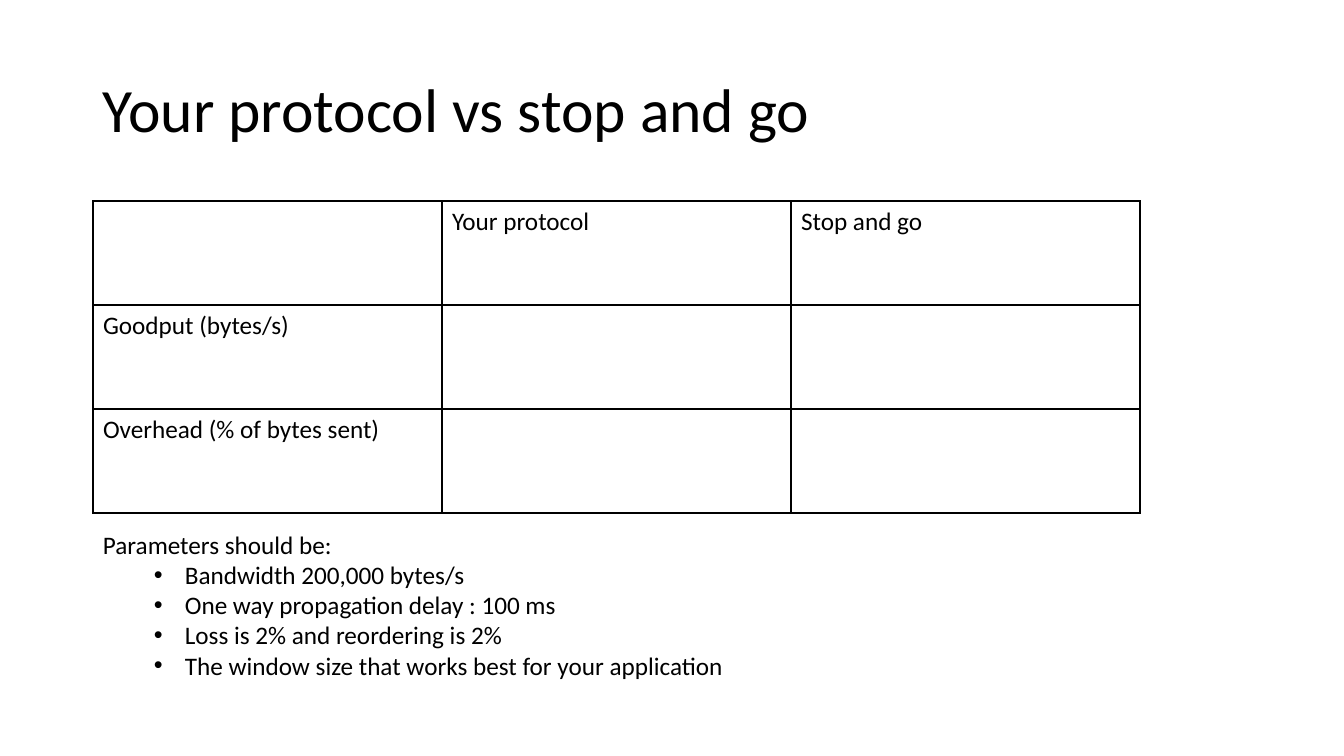
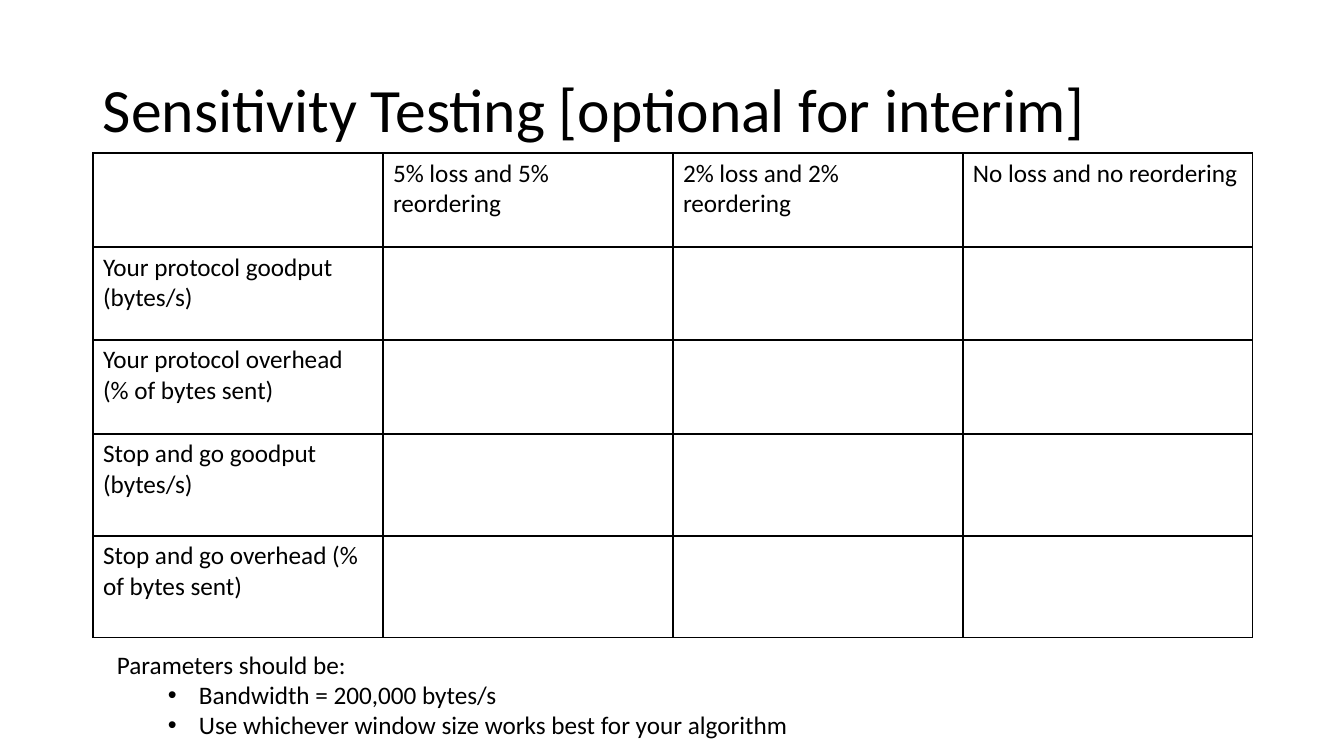
from lxml import etree
from pptx import Presentation
from pptx import util as u
from pptx.dml.color import RGBColor
from pptx.enum import text
from pptx.oxml import ns

SLIDE_WIDTH, SLIDE_HEIGHT = 1344, 756
EMU_PER_PX = 12192000 / SLIDE_WIDTH
COLORS = {"ink": "000000", "paper": "FFFFFF"}
LEFT = 93


def px(length):
    return u.Emu(round(length * EMU_PER_PX))


def add_xml(parent, tag, **attributes):
    return etree.SubElement(parent, ns.qn(tag), attributes)


class Deck:
    font_name = "Calibri"
    title_size, body_size = 44, 18
    bullet_margin, bullet_indent = 82, -31

    def __init__(self):
        self.presentation = Presentation()
        self.presentation.slide_width = px(SLIDE_WIDTH)
        self.presentation.slide_height = px(SLIDE_HEIGHT)
        self.slide = None

    def new_slide(self, title):
        layout = self.presentation.slide_layouts[6]
        self.slide = self.presentation.slides.add_slide(layout)
        background = self.slide.background.fill
        background.solid()
        background.fore_color.rgb = RGBColor.from_string(COLORS["paper"])
        frame = self.text_frame(LEFT, 40, 1159, 146)
        frame.vertical_anchor = text.MSO_ANCHOR.MIDDLE
        paragraph = frame.paragraphs[0]
        paragraph.line_spacing = 0.9
        self.add_text(paragraph, title, self.title_size)

    def text_frame(self, left, top, width, height):
        shape = self.slide.shapes.add_textbox(px(left), px(top), px(width), px(height))
        shape.text_frame.word_wrap = True
        return shape.text_frame

    def add_text(self, paragraph, words, size=body_size):
        run = paragraph.add_run()
        run.text = words
        run.font.name = self.font_name
        run.font.size = u.Pt(size)
        run.font.color.rgb = RGBColor.from_string(COLORS["ink"])

    def bulleted_list(self, left, top, width, height, heading, items):
        frame = self.text_frame(left, top, width, height)
        self.add_text(frame.paragraphs[0], heading)
        for item in items:
            paragraph = frame.add_paragraph()
            paragraph.level = 1
            self.add_text(paragraph, item)
            properties = paragraph._p.get_or_add_pPr()
            properties.set("marL", str(px(self.bullet_margin)))
            properties.set("indent", str(px(self.bullet_indent)))
            add_xml(properties, "a:buFont", typeface="Arial")
            add_xml(properties, "a:buChar", char="•")

    def blank_table(self, top, column_width, row_heights, column_names, row_names):
        """Add a ruled table with headings and empty cells to fill in."""
        columns, rows = len(column_names) + 1, len(row_names) + 1
        table = self.slide.shapes.add_table(
            rows, columns, px(LEFT), px(top),
            px(column_width * columns), px(sum(row_heights))).table
        table.first_row = table.horz_banding = False
        for column in table.columns:
            column.width = px(column_width)
        for row, height in zip(table.rows, row_heights):
            row.height = px(height)
        for cell in table.iter_cells():
            self.rule_cell(cell)
        for index, name in enumerate(column_names, 1):
            self.add_text(table.cell(0, index).text_frame.paragraphs[0], name)
        for index, name in enumerate(row_names, 1):
            self.add_text(table.cell(index, 0).text_frame.paragraphs[0], name)

    def rule_cell(self, cell):
        properties = cell._tc.get_or_add_tcPr()
        for side in ("L", "R", "T", "B"):
            line = add_xml(properties, f"a:ln{side}", w=str(u.Pt(1)))
            add_xml(add_xml(line, "a:solidFill"), "a:srgbClr", val=COLORS["ink"])
        cell.fill.background()


def main():
    deck = Deck()

    deck.new_slide("Your protocol vs stop and go")
    deck.bulleted_list(LEFT, 524, 647, 194, "Parameters should be:", [
        "Bandwidth 200,000 bytes/s",
        "One way propagation delay : 100 ms",
        "Loss is 2% and reordering is 2%",
        "The window size that works best for your application",
    ])
    deck.blank_table(
        201, 349, [104] * 3,
        ["Your protocol", "Stop and go"],
        ["Goodput (bytes/s)", "Overhead (% of bytes sent)"])

    deck.new_slide("Sensitivity Testing [optional for interim]")
    deck.blank_table(
        153, 290, [94, 93, 94, 102, 102],
        ["5% loss and 5% reordering", "2% loss and 2% reordering",
         "No loss and no reordering"],
        ["Your protocol goodput (bytes/s)",
         "Your protocol overhead (% of bytes sent)",
         "Stop and go goodput (bytes/s)",
         "Stop and go overhead (% of bytes sent)"])
    deck.bulleted_list(107, 644, 702, 102, "Parameters should be:", [
        "Bandwidth = 200,000 bytes/s",
        "Use whichever window size works best for your algorithm",
    ])

    deck.presentation.save("out.pptx")


if __name__ == "__main__":
    main()
